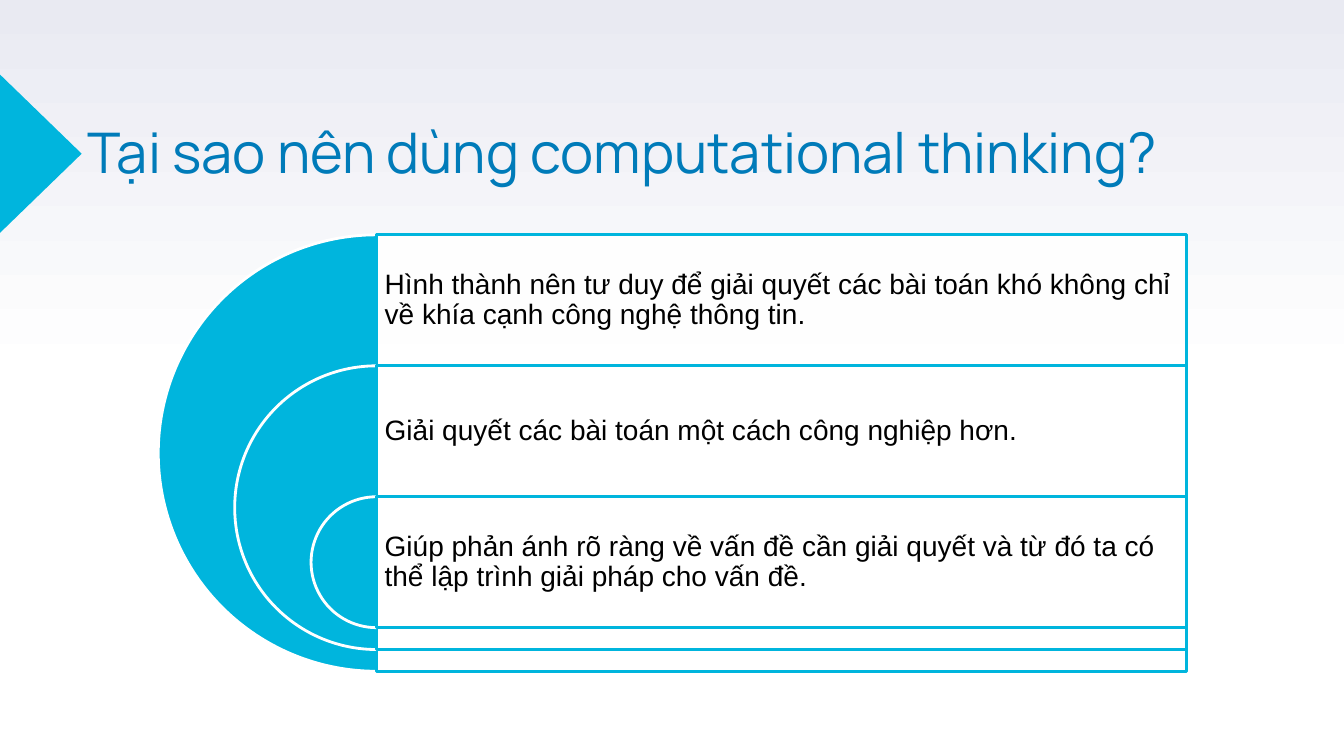
from copy import deepcopy

from lxml import etree
from pptx import Presentation
from pptx.dml.color import RGBColor
from pptx.enum.shapes import MSO_SHAPE
from pptx.enum.text import MSO_ANCHOR, MSO_AUTO_SIZE, PP_ALIGN
from pptx.oxml.ns import qn
from pptx.util import Inches, Pt

PIE, RECT, TRIANGLE = MSO_SHAPE.PIE, MSO_SHAPE.RECTANGLE, MSO_SHAPE.ISOSCELES_TRIANGLE
MIDDLE, BOTTOM = MSO_ANCHOR.MIDDLE, MSO_ANCHOR.BOTTOM
LEFT, CENTER, JUSTIFY = PP_ALIGN.LEFT, PP_ALIGN.CENTER, PP_ALIGN.JUSTIFY
NO_AUTOFIT = MSO_AUTO_SIZE.NONE

CYAN, BLUE, WHITE, BLACK, LAVENDER = "00B5DD", "007BB9", "FFFFFF", "000000", "E9EAF2"

TITLE = "Tại sao nên dùng computational thinking?"
REASONS = [
    ("Hình thành nên tư duy để giải quyết các bài toán khó không chỉ "
     "về khía cạnh công nghệ thông tin.", LEFT),
    ("Giải quyết các bài toán một cách công nghiệp hơn.", JUSTIFY),
    ("Giúp phản ánh rõ ràng về vấn đề cần giải quyết và từ đó ta có "
     "thể lập trình giải pháp cho vấn đề.", LEFT),
]


def rgb(value):
    return RGBColor.from_string(value)


def set_attrs(target, values):
    for name, value in values.items():
        setattr(target, name, value)


def add_shape(s, kind, box, fill, line=None, alpha=None):
    sp = s.shapes.add_shape(kind, *map(Inches, box))
    sp.shadow.inherit = False
    sp.fill.solid()
    sp.fill.fore_color.rgb = rgb(fill)
    if alpha is not None:
        clr = sp._element.spPr.find(qn("a:solidFill")).find(qn("a:srgbClr"))
        etree.SubElement(clr, qn("a:alpha")).set("val", str(alpha * 1000))
    if line:
        sp.line.color.rgb = rgb(line)
        sp.line.width = Pt(2)
    else:
        sp.line.fill.background()
    return sp


def write_text(sp, text, font, size, color, inset, anchor, align, spacing):
    tf = sp.text_frame
    margins = ("margin_left", "margin_top", "margin_right", "margin_bottom")
    set_attrs(tf, dict.fromkeys(margins, Inches(inset)))
    set_attrs(tf, {"word_wrap": True, "auto_size": NO_AUTOFIT, "vertical_anchor": anchor})
    p = tf.paragraphs[0]
    set_attrs(p, {"alignment": align, "line_spacing": spacing})
    r = p.add_run()
    r.text = text
    set_attrs(r.font, {"name": font, "size": Pt(size)})
    r.font.color.rgb = rgb(color)


def paint_background(s):
    fill = s.background.fill
    fill.gradient()
    fill.gradient_angle = 90
    first = s._element.find(".//" + qn("a:gs"))
    first.addnext(deepcopy(first))
    stops = [(0, WHITE), (0.5, WHITE), (1, LAVENDER)]
    for stop, (position, color) in zip(fill.gradient_stops, stops):
        stop.position = position
        stop.color.rgb = rgb(color)


def add_title(s, box):
    title = s.shapes.title
    set_attrs(title, dict(zip(("left", "top", "width", "height"), map(Inches, box))))
    write_text(title, TITLE, "Manrope", 40, BLUE, 0, BOTTOM, CENTER, 0.8)


def add_reasons(s, box):
    left, top, width, height = box
    band = 0.3 * height
    axis = left + height / 2
    row_width = width - height / 2
    for i, (text, align) in enumerate(REASONS):
        size = height * (1 - 0.35 * i)
        y = top + i * band
        pie = add_shape(s, PIE, (axis - size / 2, y, size, size), CYAN, WHITE)
        pie.adjustments[0], pie.adjustments[1] = 54, 162
        add_shape(s, RECT, (axis, y, row_width, size), WHITE, CYAN, 90)
        label = s.shapes.add_textbox(*map(Inches, (axis, y, row_width, band)))
        write_text(label, text, "Arial", 20, BLACK, 0.08, MIDDLE, align, 0.9)


def add_pointer(s, box):
    add_shape(s, TRIANGLE, box, CYAN).rotation = 90


def main():
    prs = Presentation()
    prs.slide_width, prs.slide_height = Inches(13.33), Inches(7.5)
    s = prs.slides.add_slide(prs.slide_layouts[0])
    subtitle = s.placeholders[1]._element
    subtitle.getparent().remove(subtitle)
    paint_background(s)
    add_title(s, (0.81, 1.23, 10.72, 0.6))
    add_reasons(s, (1.57, 2.33, 10.2, 4.33))
    add_pointer(s, (-0.38, 1.12, 1.57, 0.81))
    prs.save("out.pptx")


if __name__ == "__main__":
    main()
